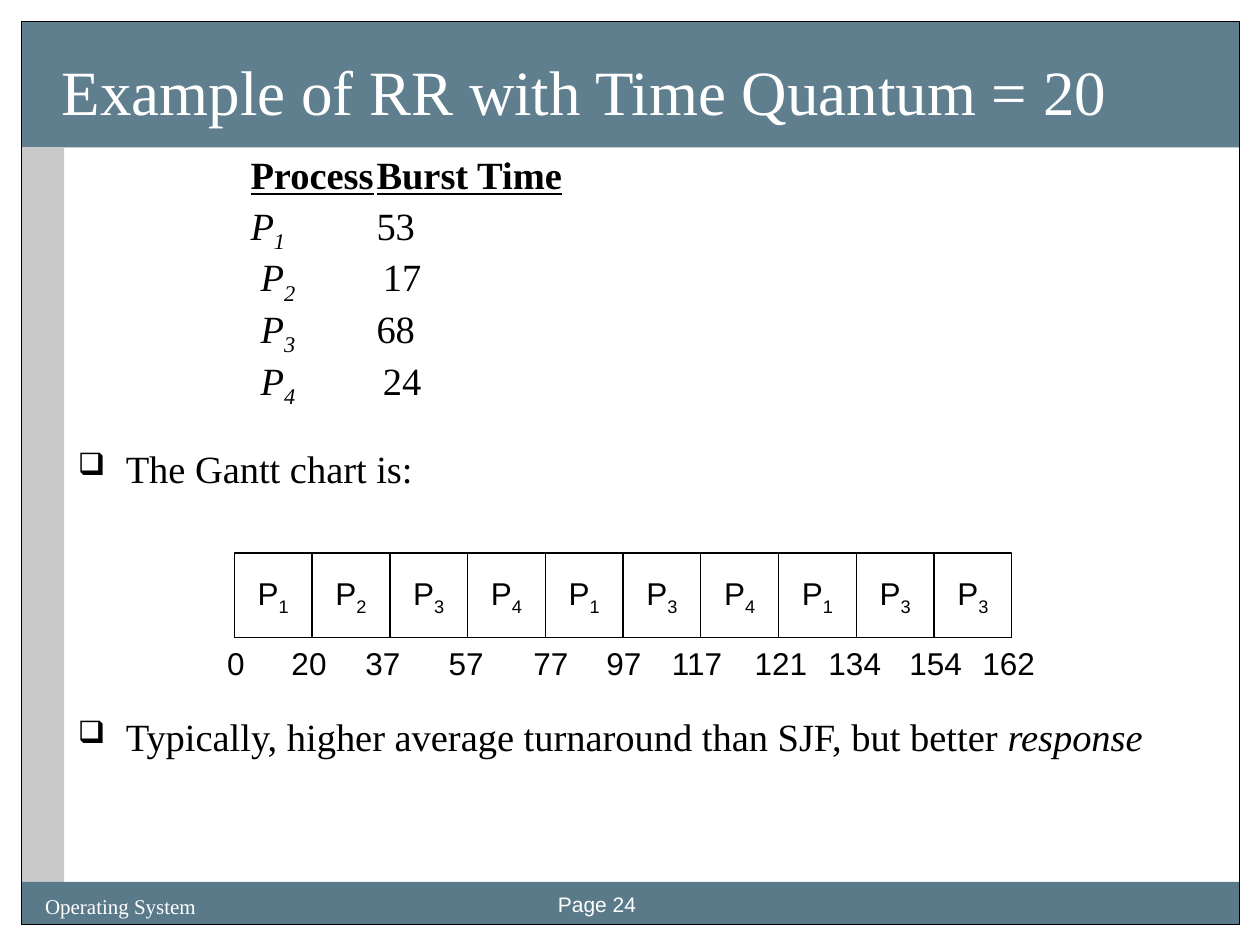
from lxml import etree
from pptx import Presentation
from pptx.dml.color import RGBColor
from pptx.enum.shapes import MSO_SHAPE
from pptx.enum.text import MSO_ANCHOR, PP_ALIGN
from pptx.oxml.ns import qn
from pptx.util import Inches, Pt

RECT = MSO_SHAPE.RECTANGLE
TOP, MIDDLE, BOTTOM = MSO_ANCHOR.TOP, MSO_ANCHOR.MIDDLE, MSO_ANCHOR.BOTTOM
LEFT, CENTER = PP_ALIGN.LEFT, PP_ALIGN.CENTER
SERIF, SANS = "Times New Roman", "Arial"
BLACK, WHITE, SLATE, GRAY = "000000", "FFFFFF", "3E6376", "C9C9C9"
BODY = 22
SPACING = 0.8

BURSTS = [("1", "53"), ("2", "17"), ("3", "68"), ("4", "24")]
ORDER = "1234134133"
# Each time mark with its centre, in cells from the left of the chart
MARKS = [("0", 0.02), ("20", 0.96), ("37", 1.91), ("57", 2.98), ("77", 4.07),
         ("97", 5.01), ("117", 5.95), ("121", 7.03), ("134", 7.98),
         ("154", 9.02), ("162", 9.96)]


def color(code):
    return RGBColor.from_string(code)


def style(font, size, name, code=BLACK):
    font.size, font.name = Pt(size), name
    font.color.rgb = color(code)


def add_runs(para, parts, size, name, code=BLACK):
    """Add (text, marks) runs: b bold, u underlined, i italic, s subscript."""
    for text, marks in parts:
        run = para.add_run()
        run.text = text
        style(run.font, size, name, code)
        run.font.bold = "b" in marks
        run.font.underline = "u" in marks
        run.font.italic = "i" in marks
        if "s" in marks:
            run.font._element.set("baseline", "-25000")


def add_rect(slide, box, fill=None, line=None, alpha=None):
    rect = slide.shapes.add_shape(RECT, *map(Inches, box))
    rect.shadow.inherit = False
    if fill:
        rect.fill.solid()
        rect.fill.fore_color.rgb = color(fill)
    else:
        rect.fill.background()
    if alpha:
        tint = rect.fill._xPr.find(".//" + qn("a:srgbClr"))
        etree.SubElement(tint, qn("a:alpha")).set("val", str(alpha * 1000))
    if line:
        rect.line.color.rgb = color(line)
        rect.line.width = Pt(0.75)
    else:
        rect.line.fill.background()
    return rect


def add_text(slide, box, anchor=TOP, wrap=True):
    frame = slide.shapes.add_textbox(*map(Inches, box)).text_frame
    frame.word_wrap = wrap
    frame.vertical_anchor = anchor
    return frame


def add_label(slide, box, text, size, name, code=BLACK, anchor=TOP,
              align=LEFT, wrap=True):
    frame = add_text(slide, box, anchor, wrap)
    para = frame.paragraphs[0]
    para.alignment = align
    add_runs(para, [(text, "")], size, name, code)
    return frame


def add_tabs(para, stops):
    tabs = etree.SubElement(para._p.get_or_add_pPr(), qn("a:tabLst"))
    for stop in stops:
        tab = etree.SubElement(tabs, qn("a:tab"))
        tab.set("pos", str(Inches(stop)))
        tab.set("algn", "l")


def draw_frame(slide, box):
    left, top, width, height = box
    head, foot, side = 1.0, 0.34, 0.34
    base = top + height - foot
    add_rect(slide, (left, top, width, head), SLATE, alpha=82)
    add_rect(slide, (left, top + head, side, base - top - head), GRAY)
    add_rect(slide, (left, base, width, foot), SLATE, alpha=85)
    add_rect(slide, box, line=BLACK)
    title = add_label(slide, (left + 0.02, top + 0.06, width - 0.86, 0.92),
                      "Example of RR with Time Quantum = 20", 36, SERIF,
                      WHITE, BOTTOM)
    title.margin_left, title.margin_bottom = Inches(0.3), Inches(0.13)
    add_label(slide, (left + 0.09, base + 0.04, 1.67, 0.27),
              "Operating System", 12, SERIF, WHITE)
    add_label(slide, (left + 4.16, base + 0.03, 1.5, 0.27),
              "Page 24", 12, SANS, WHITE)


def draw_bursts(slide, box):
    frame = add_text(slide, box)
    head = [("Process", "bu"), ("\t", ""), ("Burst Time", "bu")]
    rows = [(head, [1])]
    for num, time in BURSTS:
        lead = "" if num == "1" else "\t"
        shift = 0.05 if num in "24" else 0
        stops = [0.08, 1 + shift] if lead else [1]
        rows.append(([(lead + "P", "i"), (num, "is"), ("\t" + time, "")],
                     stops))
    for i, (parts, stops) in enumerate(rows):
        para = frame.add_paragraph() if i else frame.paragraphs[0]
        para.line_spacing = SPACING
        if i:
            para.space_before = Pt(5.5)
        add_tabs(para, stops)
        add_runs(para, parts, BODY, SERIF)


def draw_bullet(slide, box, parts):
    para = add_text(slide, box, MIDDLE).paragraphs[0]
    para.line_spacing = SPACING
    props = para._p.get_or_add_pPr()
    props.set("marL", str(Inches(0.38)))
    props.set("indent", str(-Inches(0.38)))
    tint = etree.SubElement(props, qn("a:buClr"))
    etree.SubElement(tint, qn("a:srgbClr")).set("val", BLACK)
    etree.SubElement(props, qn("a:buSzPct")).set("val", "80000")
    etree.SubElement(props, qn("a:buChar")).set("char", "❑")
    add_runs(para, parts, BODY, SERIF)


def draw_gantt(slide, box):
    left, top, width, height = box
    cell = width / len(ORDER)
    for i, num in enumerate(ORDER):
        rect = add_rect(slide, (left + i * cell, top, cell, height),
                        WHITE, BLACK)
        frame = rect.text_frame
        frame.word_wrap = False
        frame.vertical_anchor = MIDDLE
        para = frame.paragraphs[0]
        para.alignment = CENTER
        add_runs(para, [("P", ""), (num, "s")], 18, SANS)
    for time, spot in MARKS:
        wide = 0.2 + 0.14 * len(time)
        add_label(slide, (left + spot * cell - wide / 2, top + height,
                          wide, 0.4),
                  time, 18, SANS, anchor=MIDDLE, align=CENTER, wrap=False)


def main():
    deck = Presentation()
    deck.slide_width, deck.slide_height = Inches(10), Inches(7.5)
    slide = deck.slides.add_slide(deck.slide_layouts[6])
    draw_frame(slide, (0.17, 0.17, 9.67, 7.17))
    draw_bursts(slide, (1.89, 1.22, 4, 2.1))
    draw_bullet(slide, (0.52, 3.55, 9.06, 0.4), [("The Gantt chart is:", "")])
    draw_gantt(slide, (1.86, 4.39, 6.17, 0.67))
    draw_bullet(slide, (0.52, 5.68, 9.06, 0.4),
                [("Typically, higher average turnaround than SJF, but better ",
                  ""), ("response", "i")])
    deck.save("out.pptx")


if __name__ == "__main__":
    main()
